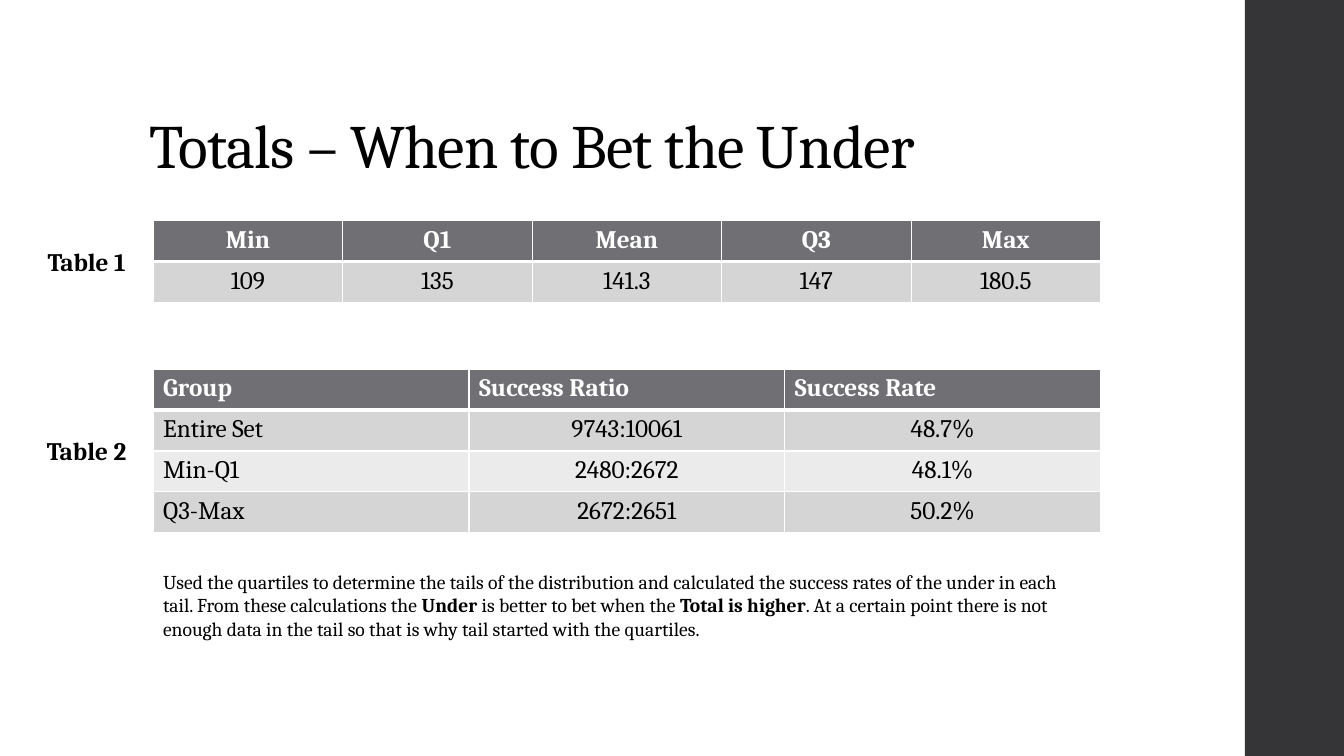
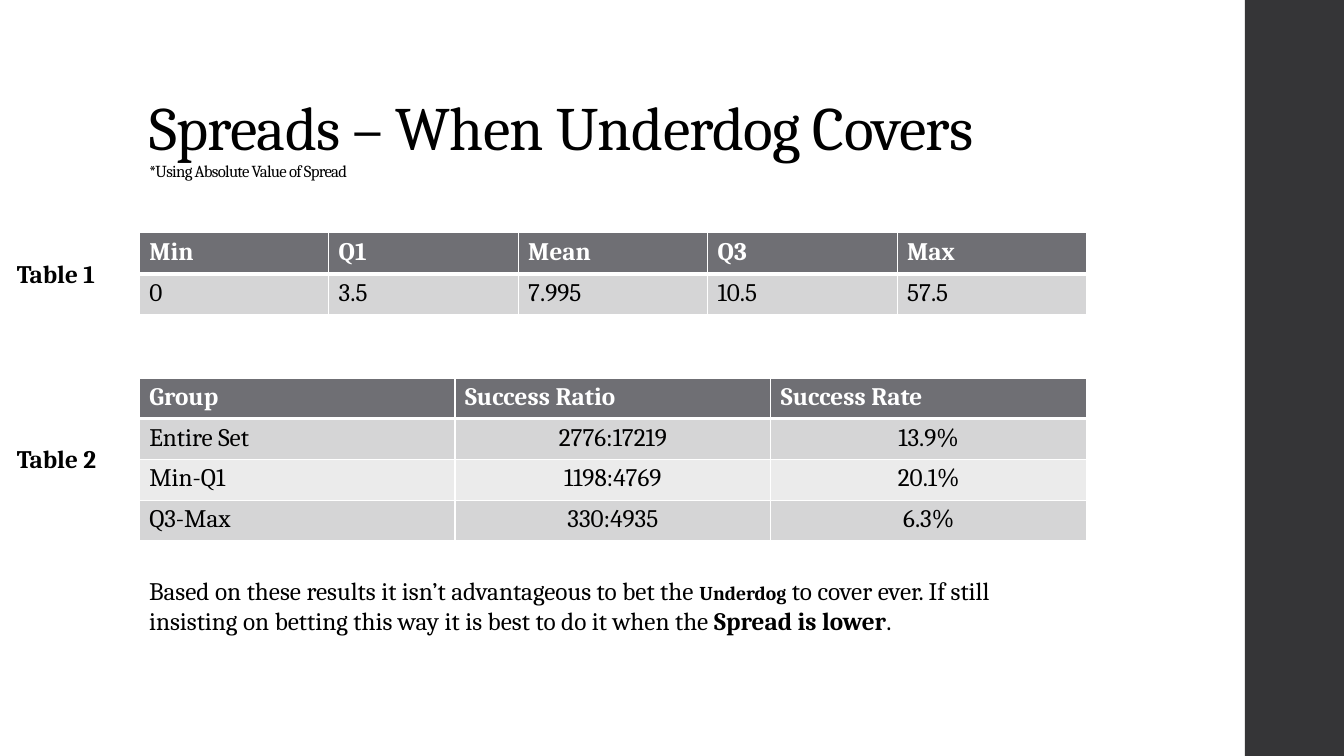
"""Builds two slides on betting totals and spreads, each with two tables."""
import pptx
import pptx.util
import pptx.dml.color
import pptx.enum.shapes
import pptx.enum.text
import pptx.oxml
import pptx.oxml.ns

Pt = pptx.util.Pt
ALIGN = pptx.enum.text.PP_ALIGN
ANCHOR = pptx.enum.text.MSO_ANCHOR

COLORS = {
    "band": "353537",
    "header": "6F6F74",
    "odd_row": "D5D5D6",
    "even_row": "EBEBEB",
    "text": "000000",
    "white": "FFFFFF",
}
FONT = "Cambria"
SLIDE_WIDTH, SLIDE_HEIGHT = 960, 540
BAND_LEFT = 889.2
TITLE_BOX = (99.4, 28.8, 763.2, 104.4)
TABLE_WIDTH = 676.8
ROW_HEIGHT = 29.2
LABEL_HEIGHT = 29

QUARTILES = ["Min", "Q1", "Mean", "Q3", "Max"]
GROUPS = ["Group", "Success Ratio", "Success Rate"]
LEFT, CENTER = ALIGN.LEFT, ALIGN.CENTER

SLIDES = [
    {
        "title": [[("Totals – When to Bet the Under", {})]],
        "left": 109.4,
        "label": {"left": 14, "width": 95.8, "align": CENTER},
        "tables": [
            {"name": "Table 1", "top": 157.7, "header_height": ROW_HEIGHT,
             "header_align": CENTER, "aligns": [CENTER] * 5,
             "rows": [QUARTILES, ["109", "135", "141.3", "147", "180.5"]]},
            {"name": "Table 2", "top": 263.7, "header_height": ROW_HEIGHT,
             "header_align": LEFT, "aligns": [LEFT, CENTER, CENTER],
             "rows": [GROUPS,
                      ["Entire Set", "9743:10061", "48.7%"],
                      ["Min-Q1", "2480:2672", "48.1%"],
                      ["Q3-Max", "2672:2651", "50.2%"]]},
        ],
        "note": {"top": 403.2, "height": 58.3, "size": 14, "runs": [
            ("Used the quartiles to determine the tails of the distribution and calculated "
             "the success rates of the under in each tail. From these calculations the ", {}),
            ("Under", {"bold": True}),
            (" is better to bet when the ", {}),
            ("Total is higher", {"bold": True}),
            (". At a certain point there is not enough data in the tail so that is why "
             "tail started with the quartiles.", {}),
        ]},
    },
    {
        "title": [[("Spreads – When Underdog Covers", {})],
                  [("*Using Absolute Value of Spread", {"size": 12})]],
        "left": 99.4,
        "label": {"left": 5, "width": 86.4, "align": LEFT},
        "tables": [
            {"name": "Table 1", "top": 166.3, "header_height": ROW_HEIGHT,
             "header_align": LEFT, "aligns": [LEFT] * 5,
             "rows": [QUARTILES, ["0", "3.5", "7.995", "10.5", "57.5"]]},
            {"name": "Table 2", "top": 270, "header_height": 28,
             "header_align": LEFT, "aligns": [LEFT, CENTER, CENTER],
             "rows": [GROUPS,
                      ["Entire Set", "2776:17219", "13.9%"],
                      ["Min-Q1", "1198:4769", "20.1%"],
                      ["Q3-Max", "330:4935", "6.3%"]]},
        ],
        "note": {"top": 407.5, "height": 51, "size": 18, "runs": [
            ("Based on these results it isn’t advantageous to bet the ", {}),
            ("Underdog", {"bold": True, "size": 14}),
            (" to cover ever. If still insisting on betting this way it is best to do it "
             "when the ", {}),
            ("Spread is lower", {"bold": True}),
            (".", {}),
        ]},
    },
]


def rgb(name):
    return pptx.dml.color.RGBColor.from_string(COLORS[name])


def write_text(frame, paragraphs, size=18, bold=False, color="text", align=LEFT,
               line_spacing=None, tracking=None):
    """Write paragraphs, each a string or a list of (text, overrides) runs."""
    for index, runs in enumerate(paragraphs):
        paragraph = frame.add_paragraph() if index else frame.paragraphs[0]
        paragraph.alignment = align
        paragraph.line_spacing = line_spacing
        for text, changes in [(runs, {})] if isinstance(runs, str) else runs:
            run = paragraph.add_run()
            run.text = text
            run.font.name = FONT
            run.font.size = Pt(changes.get("size", size))
            run.font.bold = changes.get("bold", bold)
            run.font.color.rgb = rgb(color)
            if tracking is not None:
                run.font._element.set("spc", str(round(tracking * 100)))


def add_text(slide, box, paragraphs, anchor=ANCHOR.TOP, **text_format):
    frame = slide.shapes.add_textbox(*map(Pt, box)).text_frame
    frame.word_wrap = True
    frame.vertical_anchor = anchor
    write_text(frame, paragraphs, **text_format)


def add_band(slide):
    band = slide.shapes.add_shape(
        pptx.enum.shapes.MSO_SHAPE.RECTANGLE,
        Pt(BAND_LEFT), 0, Pt(SLIDE_WIDTH - BAND_LEFT), Pt(SLIDE_HEIGHT))
    band.shadow.inherit = False
    band.fill.solid()
    band.fill.fore_color.rgb = rgb("band")
    band.line.fill.background()


def set_borders(cell, row):
    widths = {"L": 1, "R": 1, "T": 3 if row == 1 else 1, "B": 3 if row == 0 else 1}
    properties = cell._tc.get_or_add_tcPr()
    for side, width in widths.items():
        properties.append(pptx.oxml.parse_xml(
            f'<a:ln{side} {pptx.oxml.ns.nsdecls("a")} w="{Pt(width)}"><a:solidFill>'
            f'<a:srgbClr val="{COLORS["white"]}"/></a:solidFill></a:ln{side}>'))


def add_table(slide, left, data):
    """Add a table and return its height in points."""
    rows = data["rows"]
    heights = [data["header_height"]] + [ROW_HEIGHT] * (len(rows) - 1)
    table = slide.shapes.add_table(
        len(rows), len(rows[0]), Pt(left), Pt(data["top"]),
        Pt(TABLE_WIDTH), Pt(sum(heights))).table
    table.horz_banding = False
    for column in table.columns:
        column.width = Pt(TABLE_WIDTH / len(rows[0]))
    for row, (height, values) in enumerate(zip(heights, rows)):
        table.rows[row].height = Pt(height)
        header = row == 0
        fill = "header" if header else "odd_row" if row % 2 else "even_row"
        for column, value in enumerate(values):
            cell = table.cell(row, column)
            set_borders(cell, row)
            cell.fill.solid()
            cell.fill.fore_color.rgb = rgb(fill)
            write_text(cell.text_frame, [value], bold=header,
                       color="white" if header else "text",
                       align=data["header_align"] if header else data["aligns"][column])
    return sum(heights)


def add_slide(presentation, content):
    slide = presentation.slides.add_slide(presentation.slide_layouts[6])
    add_band(slide)
    add_text(slide, TITLE_BOX, content["title"], anchor=ANCHOR.BOTTOM,
             size=44, line_spacing=0.9, tracking=-0.5)
    label = content["label"]
    for data in content["tables"]:
        height = add_table(slide, content["left"], data)
        label_top = data["top"] + (height - LABEL_HEIGHT) / 2
        add_text(slide, (label["left"], label_top, label["width"], LABEL_HEIGHT),
                 [data["name"]], bold=True, align=label["align"])
    note = content["note"]
    add_text(slide, (content["left"], note["top"], TABLE_WIDTH, note["height"]),
             [note["runs"]], size=note["size"])


def main():
    presentation = pptx.Presentation()
    presentation.slide_width = Pt(SLIDE_WIDTH)
    presentation.slide_height = Pt(SLIDE_HEIGHT)
    for content in SLIDES:
        add_slide(presentation, content)
    presentation.save("out.pptx")


if __name__ == "__main__":
    main()
